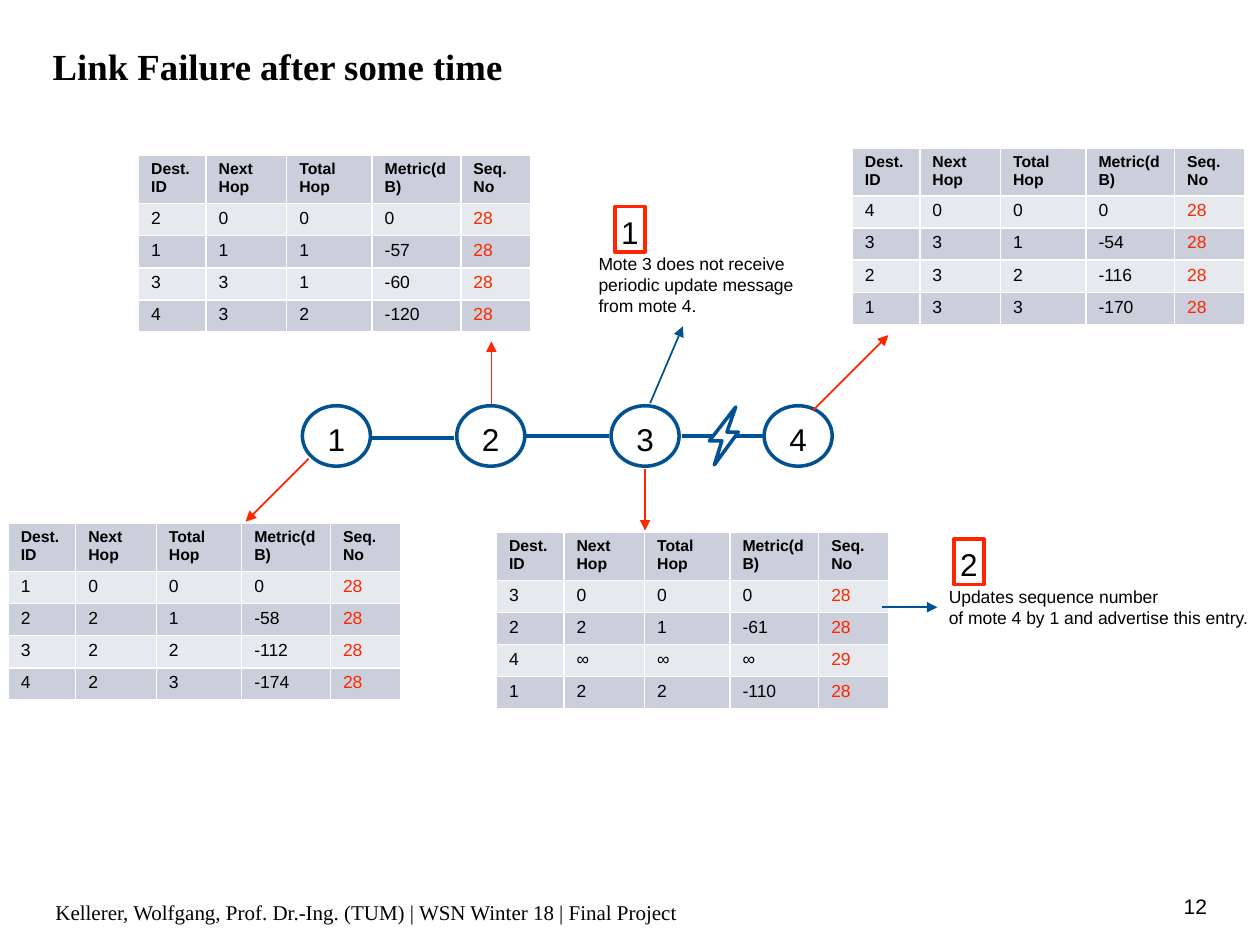
from lxml import etree
from pptx import Presentation, util as u
from pptx.dml.color import RGBColor
from pptx.enum import shapes, text as t
from pptx.oxml import ns

BLACK, WHITE = RGBColor(0, 0, 0), RGBColor(255, 255, 255)
BLUE, RED = RGBColor(0x00, 0x52, 0x93), RGBColor(0xFF, 0x26, 0x00)
DARK, LIGHT = RGBColor(0xCA, 0xCF, 0xDB), RGBColor(0xE6, 0xE9, 0xEE)

COLS, ROWS = 100, 75
UNIT = u.Inches(10) // COLS
HEADER = ["Dest. ID", "Next Hop", "Total Hop", "Metric(dB)", "Seq. No"]
COL_SPANS = [5.36, 6.4, 6.78, 7.04, 5.55]
ROW_SPANS = [3.8] + [2.55] * 4

TABLES = [
    ((11, 12.35), ["2 0 0 0 28", "1 1 1 -57 28", "3 3 1 -60 28", "4 3 2 -120 28"]),
    ((0.65, 41.55), ["1 0 0 0 28", "2 2 1 -58 28", "3 2 2 -112 28", "4 2 3 -174 28"]),
    ((39.4, 42.25), ["3 0 0 0 28", "2 2 1 -61 28", "4 ∞ ∞ ∞ 29", "1 2 2 -110 28"]),
    ((67.65, 11.75), ["4 0 0 0 28", "3 3 1 -54 28", "2 3 2 -116 28", "1 3 3 -170 28"]),
]
NODES, NODE_W, NODE_H = [24, 36.25, 48.5, 60.65], 5.4, 4.8
LINKS = [(29.4, 34.75, 36, 34.75), (41.7, 34.6, 48.3, 34.6), (54.1, 34.6, 60.8, 34.6)]
ARROWS = [
    ((24.5, 36.4, 19.5, 41.4), RED), ((39, 32.1, 39, 27.1), RED),
    ((51.2, 37.2, 51.2, 42.1), RED), ((64.5, 32.6, 70.5, 26.6), RED),
    ((51.6, 32, 54.2, 25.9), BLUE), ((70, 48.2, 74.4, 48.2), BLUE),
]
BOLT = [(58.4, 32.3), (56.3, 35), (57.3, 35), (56.7, 36.9), (58.6, 34.3), (57.7, 34.3)]
NOTES = [
    ("1", (48.8, 16.4), (47, 19.6, 17.2, 6),
     ["Mote 3 does not receive", "periodic update message", "from mote 4."]),
    ("2", (75.7, 42.8), (74.8, 46, 25.2, 4.3),
     ["Updates sequence number", "of mote 4 by 1 and advertise this entry."]),
]


def grid(*spans):
    """Turn grid spans into slide lengths."""
    return [u.Emu(round(n * UNIT)) for n in spans]


def write(tf, lines, size=10, font="Arial", color=BLACK, bold=False,
          align=t.PP_ALIGN.LEFT):
    """Write one paragraph per line in the given format."""
    for i, line in enumerate([lines] if isinstance(lines, str) else lines):
        p = tf.add_paragraph() if i else tf.paragraphs[0]
        p.alignment = align
        r = p.add_run()
        r.text = line
        r.font.size, r.font.name, r.font.bold = u.Pt(size), font, bold
        r.font.color.rgb = color


def frame(tf, insets, anchor=t.MSO_ANCHOR.TOP):
    """Set the insets and anchor of a wrapping text frame."""
    tf.margin_left, tf.margin_top, tf.margin_right, tf.margin_bottom = grid(*insets)
    tf.vertical_anchor, tf.word_wrap = anchor, True
    return tf


def add_text(s, box, lines, insets=(0.5,) * 4, anchor=t.MSO_ANCHOR.TOP, **fmt):
    """Add a text box."""
    sp = s.shapes.add_textbox(*grid(*box))
    write(frame(sp.text_frame, insets, anchor), lines, **fmt)


def outline(sp, line, fill=None):
    """Give a shape a 2 pt line and an optional fill."""
    sp.shadow.inherit = False
    if fill is None:
        sp.fill.background()
    else:
        sp.fill.solid()
        sp.fill.fore_color.rgb = fill
    sp.line.color.rgb, sp.line.width = line, u.Pt(2)


def add_line(s, ends, color, width, arrow=False):
    """Add a straight line, with an arrowhead at its end if asked."""
    c = s.shapes.add_connector(shapes.MSO_CONNECTOR.STRAIGHT, *grid(*ends))
    c.line.color.rgb, c.line.width = color, u.Pt(width)
    if arrow:
        etree.SubElement(c.line._get_or_add_ln(), ns.qn("a:tailEnd"), type="triangle")
    etree.SubElement(c._element.spPr, ns.qn("a:effectLst"))


def style_cell(cell, fill):
    """Give a cell narrow margins, white borders and a fill."""
    cell.margin_top, cell.margin_bottom = grid(0.4, 0.4)
    tc_pr = cell._tc.get_or_add_tcPr()
    for side in ("lnL", "lnR", "lnT", "lnB"):
        ln = etree.SubElement(tc_pr, ns.qn(f"a:{side}"), w="12192")
        solid = etree.SubElement(ln, ns.qn("a:solidFill"))
        etree.SubElement(solid, ns.qn("a:srgbClr"), val=str(WHITE))
    cell.fill.solid()
    cell.fill.fore_color.rgb = fill


def add_routes(s, origin, entries):
    """Add the routing table of one mote."""
    rows = [HEADER] + [entry.split() for entry in entries]
    box = grid(*origin, sum(COL_SPANS), sum(ROW_SPANS))
    table = s.shapes.add_table(len(rows), len(HEADER), *box).table
    for col, w in zip(table.columns, grid(*COL_SPANS)):
        col.width = w
    for row, h in zip(table.rows, grid(*ROW_SPANS)):
        row.height = h
    for i, row in enumerate(rows):
        for j, value in enumerate(row):
            cell = table.cell(i, j)
            style_cell(cell, LIGHT if i % 2 else DARK)
            head = i == 0
            write(cell.text_frame, value, size=9 if head else 10, bold=head,
                  color=RED if j == len(HEADER) - 1 and not head else BLACK)


def add_network(s, top):
    """Add the chain of motes, its links and the broken link's bolt."""
    for i, left in enumerate(NODES, 1):
        sp = s.shapes.add_shape(shapes.MSO_SHAPE.OVAL, *grid(left, top, NODE_W, NODE_H))
        outline(sp, BLUE, WHITE)
        write(frame(sp.text_frame, (0, 0.5, 0, 0), t.MSO_ANCHOR.MIDDLE), str(i),
              size=18, align=t.PP_ALIGN.CENTER)
    for ends in LINKS:
        add_line(s, ends, BLUE, 2)
    start, *rest = [grid(*point) for point in BOLT]
    builder = s.shapes.build_freeform(*start)
    builder.add_line_segments(rest, close=True)
    outline(builder.convert_to_shape(), BLUE, WHITE)


def add_note(s, number, origin, box, lines):
    """Add a numbered badge and the note under it."""
    add_text(s, box, lines, anchor=t.MSO_ANCHOR.MIDDLE)
    sp = s.shapes.add_shape(shapes.MSO_SHAPE.RECTANGLE, *grid(*origin, 2.4, 3.6))
    outline(sp, RED)
    write(frame(sp.text_frame, (0.5,) * 4), number, size=18)


def add_frame(s):
    """Add the title, the footer and the page number."""
    add_text(s, (3.2, 3, 81.8, 4.2), "Link Failure after some time",
             insets=(1, 0.5, 1, 0.5), size=21, font="Times New Roman", bold=True)
    add_text(s, (3.9, ROWS - 4.1, 86.2, 3),
             "Kellerer, Wolfgang, Prof. Dr.-Ing. (TUM) | WSN Winter 18 | Final Project",
             anchor=t.MSO_ANCHOR.MIDDLE, size=12, font="Times New Roman")
    add_text(s, (93.3, ROWS - 4.6, 3, 2.9), "12", size=12, align=t.PP_ALIGN.RIGHT)


def main():
    """Build and save the slide."""
    prs = Presentation()
    prs.slide_width, prs.slide_height = grid(COLS, ROWS)
    s = prs.slides.add_slide(prs.slide_layouts[6])
    add_frame(s)
    add_network(s, 32.2)
    for origin, entries in TABLES:
        add_routes(s, origin, entries)
    for ends, color in ARROWS:
        add_line(s, ends, color, 1, arrow=True)
    for note in NOTES:
        add_note(s, *note)
    prs.save("out.pptx")


if __name__ == "__main__":
    main()
